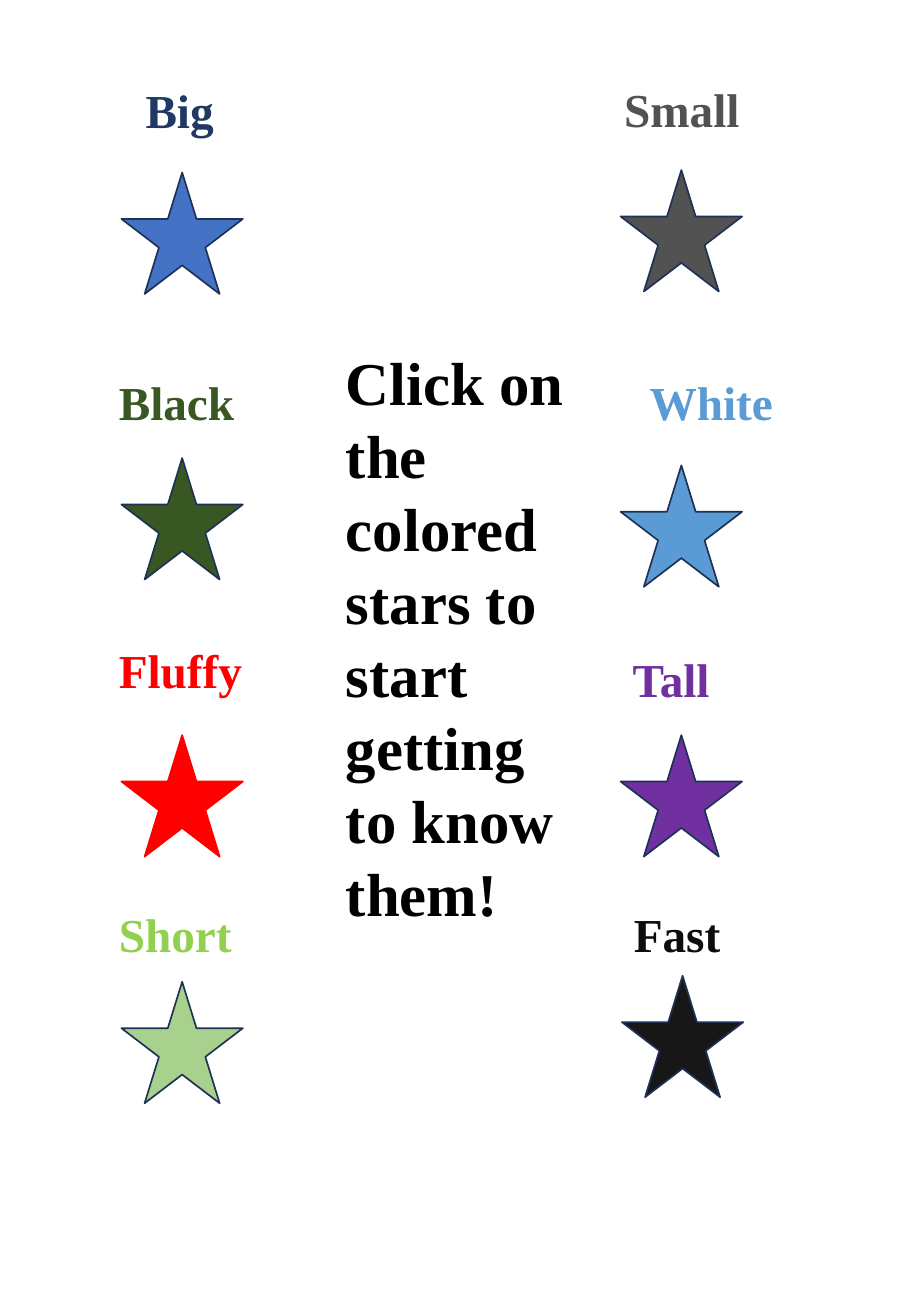
from pptx import Presentation
from pptx.dml.color import RGBColor
from pptx.enum.shapes import MSO_SHAPE
from pptx.enum.text import MSO_AUTO_SIZE
from pptx.util import Emu, Pt

STAR = MSO_SHAPE.STAR_5_POINT
GROW = MSO_AUTO_SIZE.SHAPE_TO_FIT_TEXT

PX = 9144  # 100 px to the inch
PAGE_WIDTH, PAGE_HEIGHT = 750, 1083
STAR_SIZE, LABEL_HEIGHT = 100, 57

THEME = {
    "font": "Times New Roman",
    "label_size": 28,
    "message_size": 36,
    "message": "000000",
    "outline": "1E3256",
}


def px(*lengths):
    return [Emu(length * PX) for length in lengths]


def add_text(page, text, frame, size, color):
    box = page.shapes.add_textbox(*px(*frame))
    box.text_frame.word_wrap = True
    box.text_frame.auto_size = GROW
    para = box.text_frame.paragraphs[0]
    para.text = text
    for span in para.runs:
        span.font.name = THEME["font"]
        span.font.size = Pt(size)
        span.font.bold = True
        span.font.color.rgb = RGBColor.from_string(color)


deck = Presentation()
deck.slide_width, deck.slide_height = px(PAGE_WIDTH, PAGE_HEIGHT)
page = deck.slides.add_slide(deck.slide_layouts[6])

# Word, label (left, top, width), label colour, star (left, top), fill, outline
outline = THEME["outline"]
words = [
    ("Big", (110, 62, 266), "203864", (100, 142), "4472C4", outline),
    ("Small", (504, 61, 128), "525252", (511, 140), "525252", outline),
    ("Black", (88, 302, 125), "385723", (100, 377), "385723", outline),
    ("White", (525, 302, 225), "5B9BD5", (511, 383), "5B9BD5", outline),
    ("Fluffy", (88, 523, 130), "FF0000", (100, 605), "FF0000", "FF0000"),
    ("Tall", (511, 530, 239), "7030A0", (511, 605), "7030A0", outline),
    ("Short", (88, 740, 480), "92D050", (100, 808), "A9D18E", outline),
    ("Fast", (512, 740, 238), "0D0D0D", (512, 803), "181717", outline),
]

for word, label, label_color, corner, fill, line in words:
    star = page.shapes.add_shape(STAR, *px(*corner, STAR_SIZE, STAR_SIZE))
    star.shadow.inherit = False
    star.fill.solid()
    star.fill.fore_color.rgb = RGBColor.from_string(fill)
    star.line.color.rgb = RGBColor.from_string(line)
    star.line.width = Pt(1)
    add_text(page, word, (*label, LABEL_HEIGHT), THEME["label_size"], label_color)

add_text(
    page,
    "Click on the colored stars to start getting \vto know them!",
    (275, 279, 237, 495),
    THEME["message_size"],
    THEME["message"],
)

deck.save("out.pptx")
